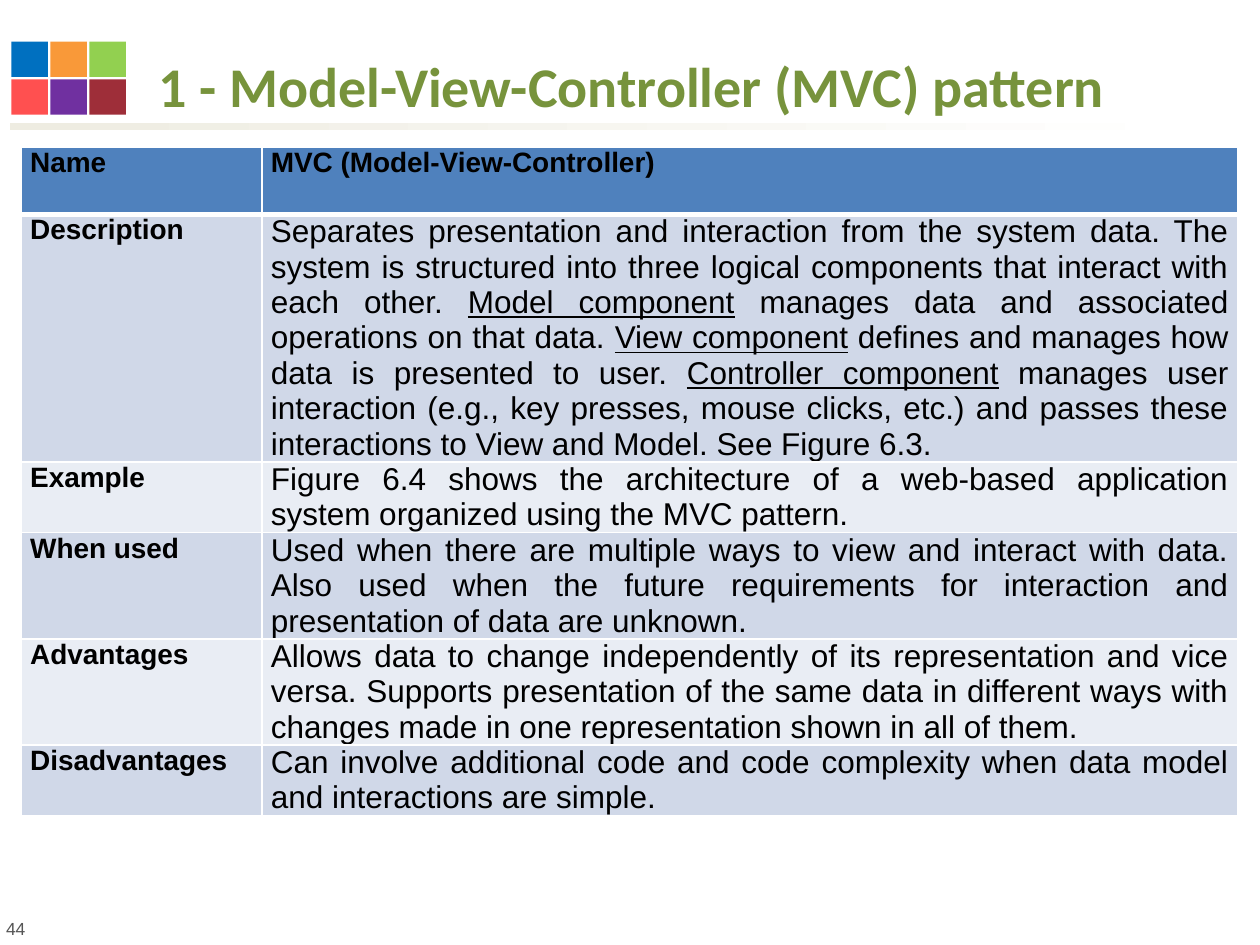
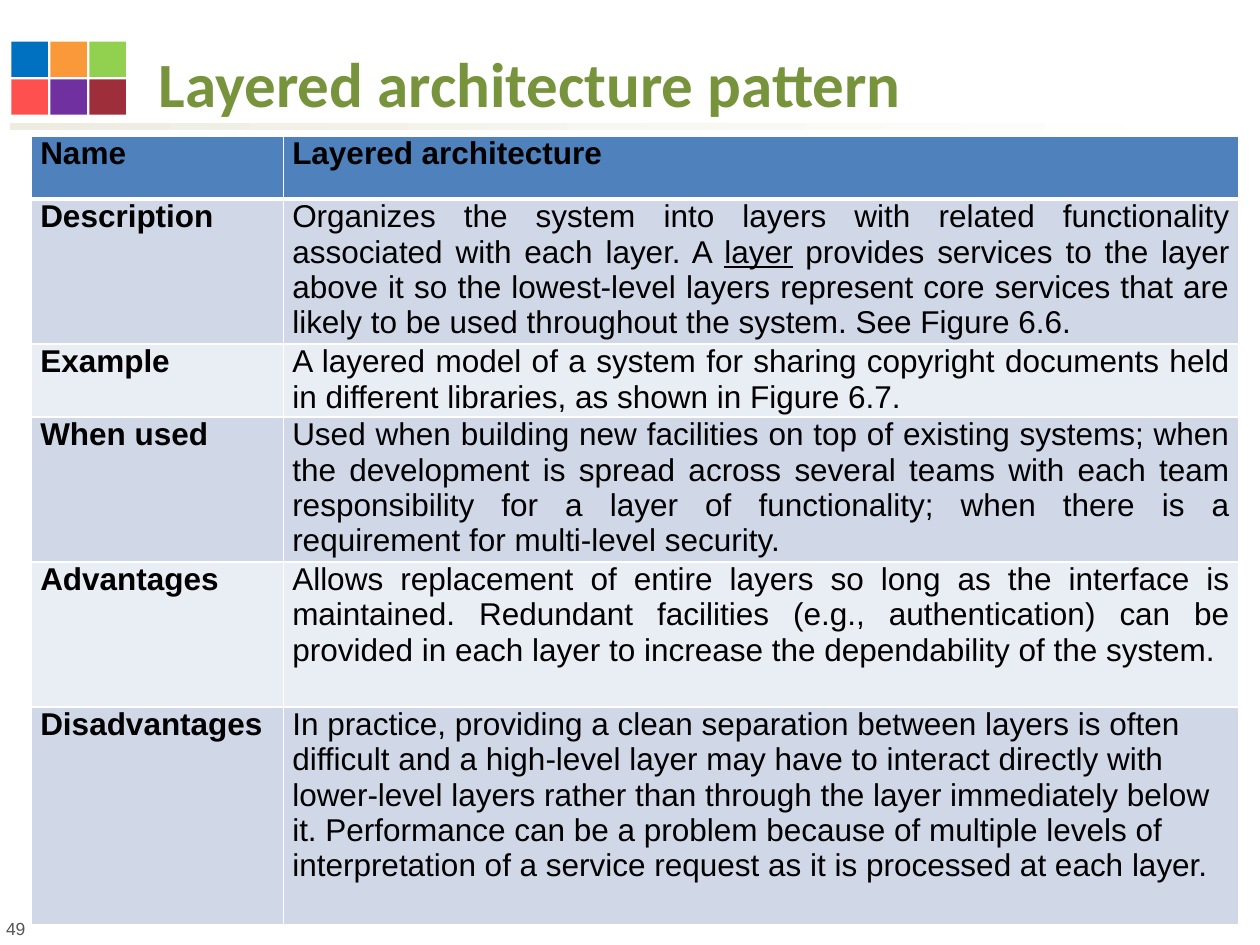
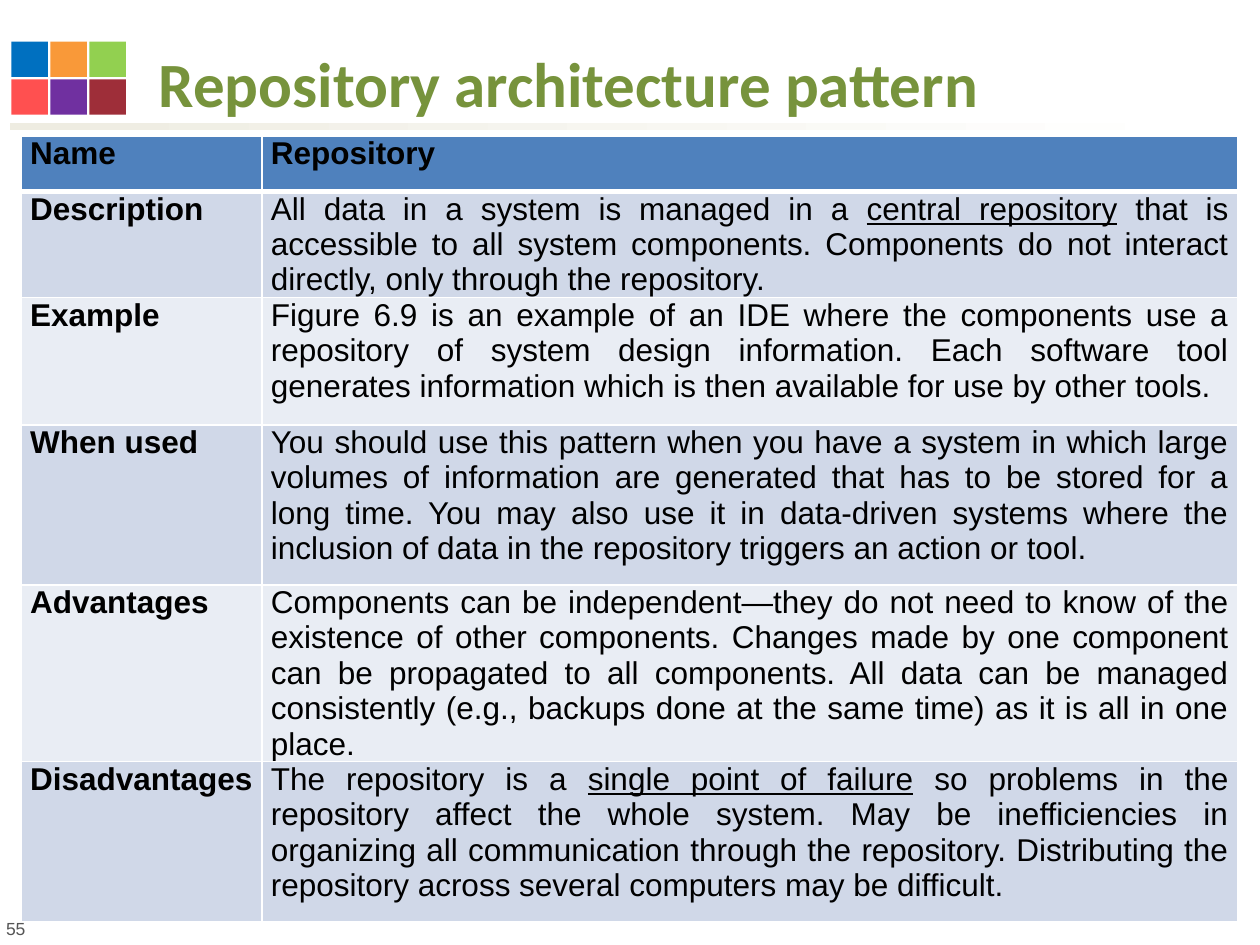
from lxml import etree
from pptx import Presentation
from pptx.dml import color
from pptx.enum import shapes, text
from pptx.oxml import ns
from pptx.util import Inches, Pt

GREEN, HEADER, BANDS = "77933C", "4F81BD", ("E9EDF4", "D0D8E8")
SQUARES = (("0070C0", "F99939", "92D050"), ("FF5050", "7030A0", "9E2E39"))
LABELS = ("Name", "Description", "Example", "When used", "Advantages", "Disadvantages")

MVC = (
    "MVC (Model-View-Controller)",
    "Separates presentation and interaction from the system data. The system is structured into "
    "three logical components that interact with each other. _Model component_ manages data and "
    "associated operations on that data. _View component_ defines and manages how data is presented "
    "to user. _Controller component_ manages user interaction (e.g., key presses, mouse clicks, etc.) "
    "and passes these interactions to View and Model. See Figure 6.3.",
    "Figure 6.4 shows the architecture of a web-based application system organized using the MVC pattern.",
    "Used when there are multiple ways to view and interact with data. Also used when the future "
    "requirements for interaction and presentation of data are unknown.",
    "Allows data to change independently of its representation and vice versa. Supports presentation "
    "of the same data in different ways with changes made in one representation shown in all of them.",
    "Can involve additional code and code complexity when data model and interactions are simple.",
)
LAYERED = (
    "Layered architecture",
    "Organizes the system into layers with related functionality associated with each layer. A _layer_ "
    "provides services to the layer above it so the lowest-level layers represent core services that "
    "are likely to be used throughout the system. See Figure 6.6.",
    "A layered model of a system for sharing copyright documents held in different libraries, as shown "
    "in Figure 6.7.",
    "Used when building new facilities on top of existing systems; when the development is spread across "
    "several teams with each team responsibility for a layer of functionality; when there is a "
    "requirement for multi-level security.",
    "Allows replacement of entire layers so long as the interface is maintained. Redundant facilities "
    "(e.g., authentication) can be provided in each layer to increase the dependability of the system.",
    "In practice, providing a clean separation between layers is often difficult and a high-level layer "
    "may have to interact directly with lower-level layers rather than through the layer immediately "
    "below it. Performance can be a problem because of multiple levels of interpretation of a service "
    "request as it is processed at each layer.",
)
REPOSITORY = (
    "Repository",
    "All data in a system is managed in a _central repository_ that is accessible to all system "
    "components. Components do not interact directly, only through the repository.",
    "Figure 6.9 is an example of an IDE where the components use a repository of system design "
    "information. Each software tool generates information which is then available for use by other tools.",
    "You should use this pattern when you have a system in which large volumes of information are "
    "generated that has to be stored for a long time. You may also use it in data-driven systems where "
    "the inclusion of data in the repository triggers an action or tool.",
    "Components can be independent—they do not need to know of the existence of other components. "
    "Changes made by one component can be propagated to all components. All data can be managed "
    "consistently (e.g., backups done at the same time) as it is all in one place.",
    "The repository is a _single point of failure_ so problems in the repository affect the whole "
    "system. May be inefficiencies in organizing all communication through the repository. Distributing "
    "the repository across several computers may be difficult.",
)


def rgb(value):
    """Turn a hex string into a colour."""
    return color.RGBColor.from_string(value)


def set_all(obj, values):
    """Set attributes of an object from a dict."""
    for name, value in values.items():
        setattr(obj, name, value)


def add_run(p, words, size, name="Arial", ink="000000", **values):
    """Add a formatted run to a paragraph."""
    r = p.add_run()
    r.text = words
    set_all(r.font, dict(size=Pt(size), name=name, **values))
    r.font.color.rgb = rgb(ink)


def add_rect(parent, left, top, width, height):
    """Add a rectangle without line or shadow."""
    sp = parent.add_shape(shapes.MSO_SHAPE.RECTANGLE, Inches(left), Inches(top), Inches(width), Inches(height))
    sp.shadow.inherit = False
    sp.line.fill.background()
    return sp


def add_band(s):
    """Add the fading band under the title."""
    fill = add_rect(s.shapes, 0.08, 0.98, 9.48, 0.05).fill
    fill.gradient()
    fill.gradient_angle = 0
    for stop, value in zip(fill.gradient_stops, ("EEECE1", "FFFFFF")):
        stop.color.rgb = rgb(value)


def add_squares(s):
    """Add the grid of coloured squares beside the title."""
    group = s.shapes.add_group_shape()
    for row, values in enumerate(SQUARES):
        for col, value in enumerate(values):
            sp = add_rect(group.shapes, 0.09 + 0.31 * col, 0.33 + 0.3 * row, 0.29, 0.28)
            sp.fill.solid()
            sp.fill.fore_color.rgb = rgb(value)


def add_number(s, number):
    """Add the slide number at the bottom left."""
    sp = s.shapes.add_textbox(Inches(-0.05), Inches(7.24), Inches(5.8), Inches(0.27))
    sp.text_frame.word_wrap = True
    add_run(sp.text_frame.paragraphs[0], str(number), 10, ink="555555")


def add_title(s, words, size):
    """Place and fill the title placeholder."""
    sp = s.shapes.title
    set_all(sp, dict(left=Inches(1.16), top=Inches(0.32), width=Inches(8.67), height=Inches(0.68)))
    tf = sp.text_frame
    set_all(tf, dict(word_wrap=True, auto_size=text.MSO_AUTO_SIZE.NONE, vertical_anchor=text.MSO_ANCHOR.BOTTOM))
    p = tf.paragraphs[0]
    p.alignment = text.PP_ALIGN.LEFT
    add_run(p, words, size, "Calibri", GREEN, bold=True)
    if size < 36:
        add_run(p, " ", 36, "Calibri", GREEN, bold=True)


def add_borders(cell, header):
    """Draw white borders, with a thick one below the header."""
    tc_pr = cell._tc.get_or_add_tcPr()
    for side in "LRTB":
        width = Pt(3 if header and side == "B" else 1)
        ln = etree.SubElement(tc_pr, ns.qn(f"a:ln{side}"), w=str(width))
        fill = etree.SubElement(ln, ns.qn("a:solidFill"))
        etree.SubElement(fill, ns.qn("a:srgbClr"), val="FFFFFF")


def add_tabs(p):
    """Give a paragraph three evenly spaced tab stops."""
    tabs = etree.SubElement(p._p.get_or_add_pPr(), ns.qn("a:tabLst"))
    for i in (1, 2, 3):
        etree.SubElement(tabs, ns.qn("a:tab"), pos=str(Inches(3 * i / 8)), algn="l")


def fill_cell(cell, words, size, bold, fill, align):
    """Format a cell and underline the words between underscores."""
    add_borders(cell, fill == HEADER)
    set_all(cell, dict(margin_left=Inches(0.07), margin_right=Inches(0.07), margin_top=0, margin_bottom=0))
    cell.fill.solid()
    cell.fill.fore_color.rgb = rgb(fill)
    p = cell.text_frame.paragraphs[0]
    add_tabs(p)
    set_all(p, dict(alignment=align, line_spacing=Pt(round(size * 1.12, 1))))
    for i, part in enumerate(words.split("_")):
        add_run(p, part, size, bold=bold, underline=i % 2 == 1)


def add_pattern_table(s, left, top, cols, rows, entries, label_size, ragged=None):
    """Add a table that describes one pattern, label by label."""
    frame = s.shapes.add_table(len(rows), len(cols), Inches(left), Inches(top),
                               Inches(sum(cols)), Inches(sum(rows)))
    table = frame.table
    for column, width in zip(table.columns, cols):
        column.width = Inches(width)
    for i, (height, label, entry) in enumerate(zip(rows, LABELS, entries)):
        table.rows[i].height = Inches(height)
        fill = BANDS[i % 2] if i else HEADER
        align = text.PP_ALIGN.LEFT if label == ragged else text.PP_ALIGN.JUSTIFY
        fill_cell(table.cell(i, 0), label, label_size, True, fill, text.PP_ALIGN.JUSTIFY)
        fill_cell(table.cell(i, 1), entry, 18 if i else label_size, i == 0, fill, align)


def add_slide(prs, number, title, title_size=36):
    """Add a slide with the shared decoration, number and title."""
    s = prs.slides.add_slide(prs.slide_layouts[5])
    add_band(s)
    add_number(s, number)
    add_squares(s)
    add_title(s, title, title_size)
    return s


def main():
    """Build the three pattern slides."""
    prs = Presentation()
    set_all(prs, dict(slide_width=Inches(10), slide_height=Inches(7.5)))
    s = add_slide(prs, 44, "1 - Model-View-Controller (MVC) pattern", 32)
    add_pattern_table(s, 0.17, 1.17, (1.91, 7.74), (0.53, 1.95, 0.56, 0.84, 0.84, 0.56), MVC, 16)
    s = add_slide(prs, 49, "Layered architecture pattern")
    add_pattern_table(s, 0.25, 1.08, (2, 7.58), (0.5, 1.15, 0.58, 1.15, 1.15, 1.73), LAYERED, 18, "Disadvantages")
    s = add_slide(prs, 55, "Repository architecture pattern")
    add_pattern_table(s, 0.17, 1.08, (1.91, 7.74), (0.44, 0.84, 1.01, 1.27, 1.4, 1.27), REPOSITORY, 18)
    prs.save("out.pptx")


if __name__ == "__main__":
    main()
